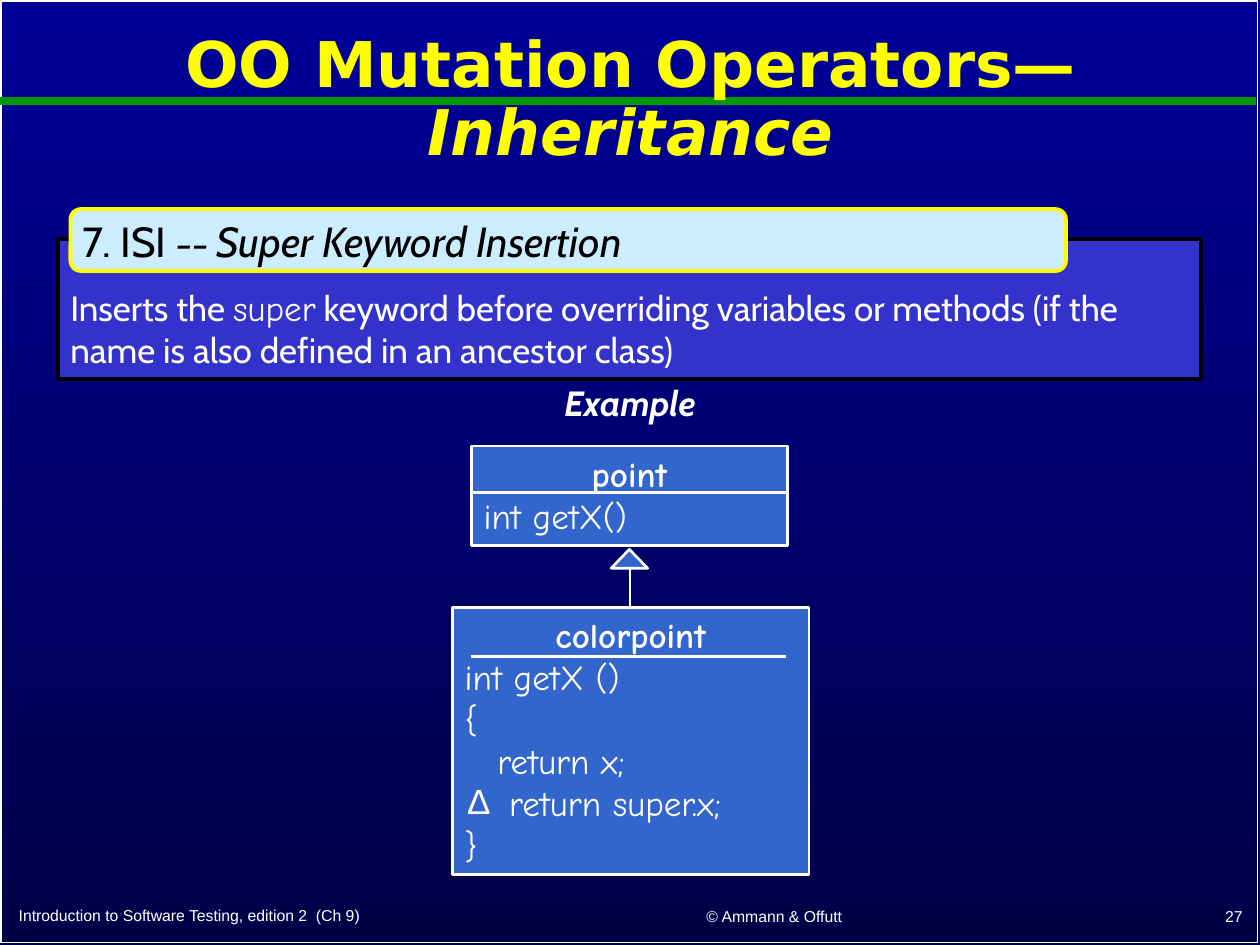
from dataclasses import dataclass

from lxml import etree
from pptx import Presentation
from pptx.dml.color import RGBColor
from pptx.enum.shapes import MSO_CONNECTOR, MSO_SHAPE
from pptx.enum.text import MSO_ANCHOR, MSO_AUTO_SIZE, PP_ALIGN
from pptx.oxml.ns import qn
from pptx.util import Inches, Pt

RECT, ROUNDED, TRIANGLE = MSO_SHAPE.RECTANGLE, MSO_SHAPE.ROUNDED_RECTANGLE, MSO_SHAPE.ISOSCELES_TRIANGLE
STRAIGHT = MSO_CONNECTOR.STRAIGHT
LEFT, CENTER, RIGHT = PP_ALIGN.LEFT, PP_ALIGN.CENTER, PP_ALIGN.RIGHT
TOP, MIDDLE, BOTTOM = MSO_ANCHOR.TOP, MSO_ANCHOR.MIDDLE, MSO_ANCHOR.BOTTOM
NO_AUTOFIT = MSO_AUTO_SIZE.NONE


@dataclass(frozen=True)
class Theme:
    bg_top: str = "000099"
    bg_bottom: str = "000047"
    rule: str = "009900"
    yellow: str = "FFFF00"
    white: str = "FFFFFF"
    black: str = "000000"
    panel: str = "3333CC"
    heading: str = "CCECFF"
    uml: str = "3366CC"
    title_font: str = "DejaVu Sans"
    body_font: str = "Cabin"
    code_font: str = "Comic Neue"
    footer_font: str = "Arial"
    title_size: int = 36
    heading_size: int = 24
    body_size: int = 20
    footer_size: int = 9


T = Theme()

prs = Presentation()
prs.slide_width, prs.slide_height = Inches(10), Inches(7.5)
s = prs.slides.add_slide(prs.slide_layouts[5])
bg = s.background.fill
bg.gradient()
bg.gradient_angle = 270
for stop, color in zip(bg.gradient_stops, (T.bg_top, T.bg_bottom)):
    stop.color.rgb = RGBColor.from_string(color)


def add_box(shape, box, fill, line, width):
    sp = s.shapes.add_shape(shape, *map(Inches, box))
    sp.shadow.inherit = False
    if fill:
        sp.fill.solid()
        sp.fill.fore_color.rgb = RGBColor.from_string(fill)
    else:
        sp.fill.background()
    sp.line.color.rgb = RGBColor.from_string(line)
    sp.line.width = Pt(width)
    return sp


def write(sp, lines, color, size, font, align=LEFT, anchor=TOP, wrap=True):
    tf = sp.text_frame
    tf.word_wrap = wrap
    tf.auto_size = NO_AUTOFIT
    tf.vertical_anchor = anchor
    for i, runs in enumerate(lines):
        p = tf.add_paragraph() if i else tf.paragraphs[0]
        p.alignment = align
        for text, style in runs:
            r = p.add_run()
            r.text = text
            r.font.name = style.get("font", font)
            r.font.size = Pt(style.get("size", size))
            r.font.bold = style.get("bold", False)
            r.font.italic = style.get("italic", False)
            r.font.color.rgb = RGBColor.from_string(color)
    return tf


add_box(RECT, (0.01, 0.01, 9.97, 7.47), None, T.white, 1)

title = s.shapes.title
title.left, title.top, title.width, title.height = map(Inches, (0.05, 0.11, 9.91, 1.39))
tf = write(title, [[("OO Mutation Operators—", {"bold": True}),
                    ("Inheritance", {"bold": True, "italic": True})]],
           T.yellow, T.title_size, T.title_font, CENTER, MIDDLE)
tf.paragraphs[0].line_spacing = 0.9

sp = add_box(RECT, (0.46, 1.9, 9.07, 1.11), T.panel, T.black, 2.25)
tf = write(sp, [[("Inserts the ", {}), ("super", {"font": T.code_font}),
                 (" keyword before overriding variables or methods (if the name is also defined in an ancestor class)", {})]],
           T.white, T.body_size, T.body_font, anchor=BOTTOM)
tf.margin_bottom = Inches(0.07)

add_box(ROUNDED, (0.56, 1.66, 7.9, 0.49), T.heading, T.yellow, 2.25)
heading = s.shapes.add_textbox(*map(Inches, (0.56, 1.66, 7.9, 0.5)))
write(heading, [[("7. ISI ", {}), ("–– ", {"size": T.body_size, "italic": True}),
                 ("Super Keyword Insertion", {"italic": True})]],
      T.black, T.heading_size, T.body_font)

example = s.shapes.add_textbox(*map(Inches, (4.36, 2.98, 1.28, 0.44)))
write(example, [[("Example", {"bold": True, "italic": True})]],
      T.white, T.body_size, T.body_font, CENTER, wrap=False)

add_box(TRIANGLE, (4.85, 4.36, 0.29, 0.15), T.uml, T.white, 1.5)

classes = [
    ((3.74, 3.54, 2.51, 0.79), ["point", "int getX()"]),
    ((3.59, 4.82, 2.83, 2.12),
     ["colorpoint", "int getX ()", "{", "return x;", " return super.x;", "}"]),
]
for box, (name, *code) in classes:
    sp = add_box(RECT, box, T.uml, T.white, 1.5)
    lines = [[(name, {"bold": True})]] + [[(line, {})] for line in code]
    tf = write(sp, lines, T.white, T.body_size, T.code_font)
    tf.paragraphs[0].alignment = CENTER

for p, indent in zip(tf.paragraphs[3:5], (0, -0.24)):
    pPr = p._p.get_or_add_pPr()
    pPr.set("marL", str(Inches(0.26)))
    pPr.set("indent", str(Inches(indent)))
etree.SubElement(pPr, qn("a:buFont")).set("typeface", T.footer_font)
etree.SubElement(pPr, qn("a:buChar")).set("char", "Δ")

rules = [
    (0, 0.8, 9.97, 0.8, T.rule, 4.5),
    (5, 4.51, 5, 4.82, T.white, 1.5),
    (3.74, 3.91, 6.24, 3.91, T.white, 1.5),
    (3.74, 5.21, 6.24, 5.21, T.white, 1.5),
]
for *ends, color, width in rules:
    line = s.shapes.add_connector(STRAIGHT, *map(Inches, ends))
    line.line.color.rgb = RGBColor.from_string(color)
    line.line.width = Pt(width)
    etree.SubElement(line._element.spPr, qn("a:effectLst"))

s.shapes._spTree.append(title._element)

footers = [
    ((0.05, 7.11, 4.24, 0.31), "Introduction to Software Testing, edition 2  (Ch 9)", LEFT),
    ((4.56, 7.12, 3.17, 0.31), "© Ammann & Offutt", CENTER),
    ((7.88, 7.11, 2.08, 0.32), "27", RIGHT),
]
for box, text, align in footers:
    sp = s.shapes.add_textbox(*map(Inches, box))
    write(sp, [[(text, {})]], T.white, T.footer_size, T.footer_font, align, MIDDLE)

prs.save("out.pptx")
